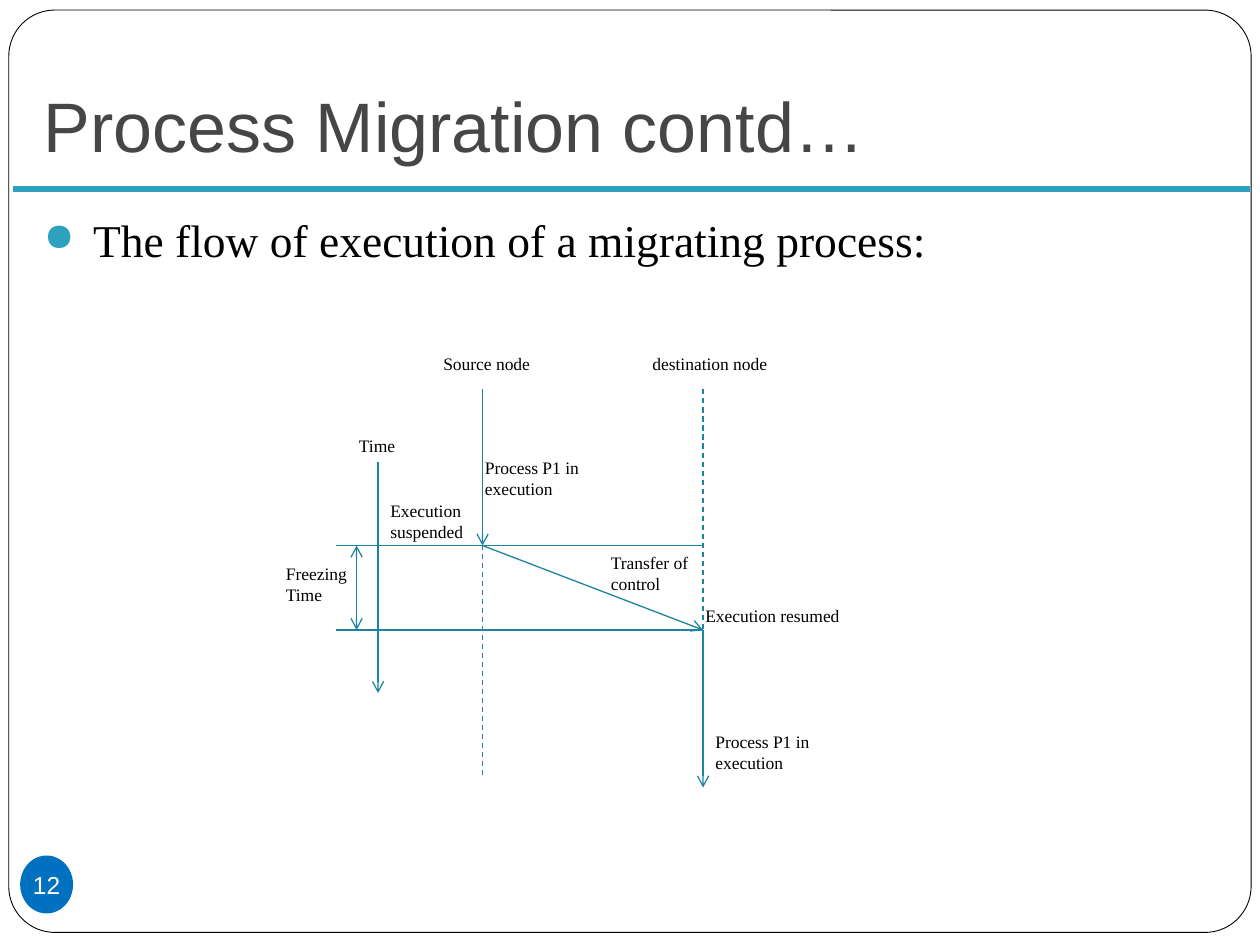
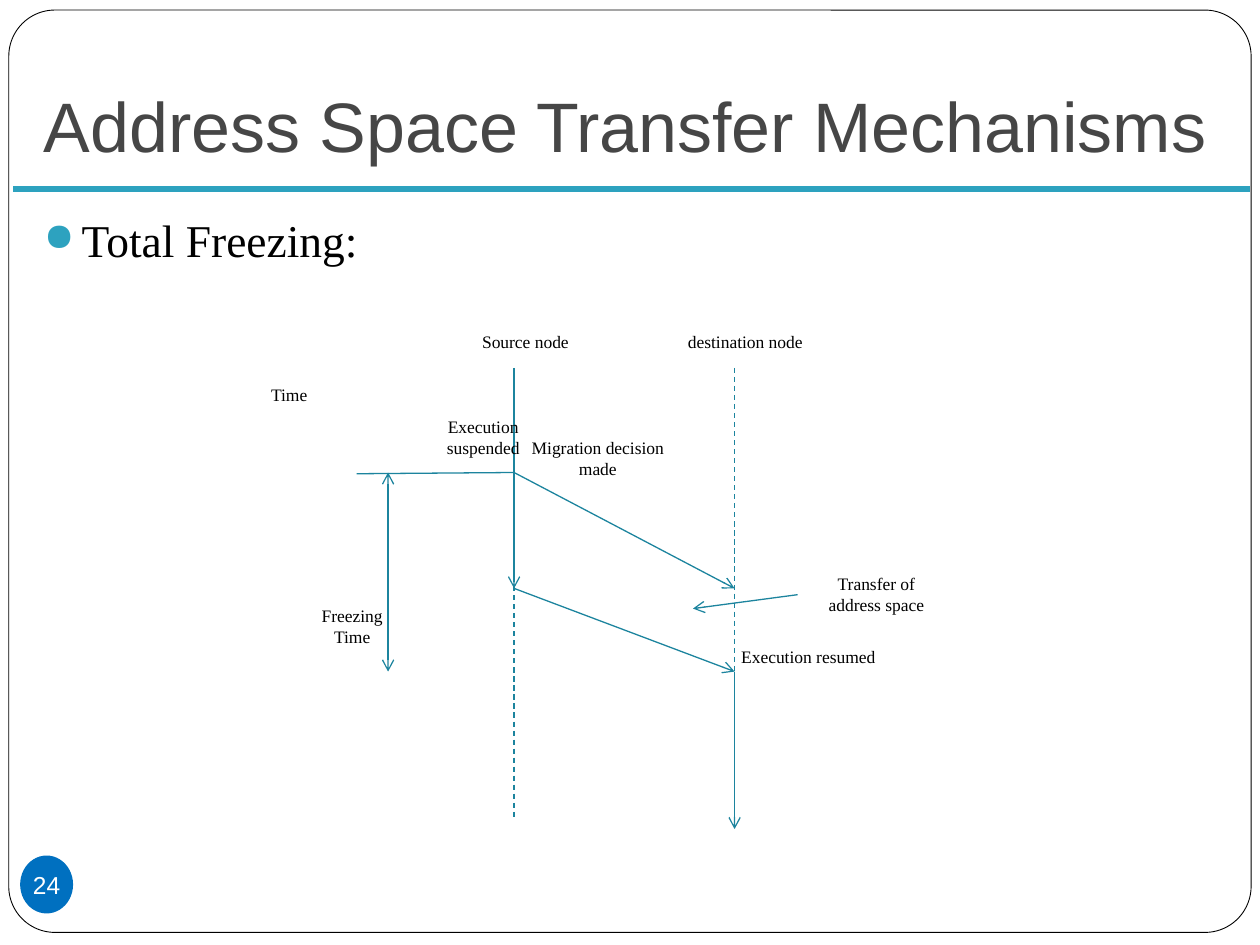
from dataclasses import dataclass

from lxml import etree
from pptx import Presentation
from pptx import util as u
from pptx.dml import color
from pptx.enum import dml, shapes, text
from pptx.oxml import ns


def rgb(value):
    return color.RGBColor.from_string(value)


@dataclass(frozen=True)
class Theme:
    heading_font: str = "Arial"
    body_font: str = "Times New Roman"
    white: str = "FFFFFF"
    black: str = "000000"
    title_color: str = "464646"
    accent: str = "2DA2BF"
    diagram: str = "1C849E"
    badge: str = "0070C0"
    title_size: int = 40
    body_size: int = 26
    number_size: int = 14
    label_size: int = 10
    frame_width: float = 0.5
    rule_width: float = 3
    diagram_width: float = 0.75


def apply(target, values):
    for name, value in values.items():
        setattr(target, name, value)


def add_xml(parent, tag, **attributes):
    return etree.SubElement(parent, ns.qn(tag), attributes)


class Deck:
    """Holds the theme, the current slide and the group being drawn into."""

    def __init__(self, theme):
        self.theme = theme
        self.presentation = Presentation()
        apply(self.presentation,
              {"slide_width": u.Inches(10), "slide_height": u.Inches(7.5)})

    def new_slide(self, title, number, bullet, indent):
        theme = self.theme
        layout = self.presentation.slide_layouts[6]
        self.slide = self.presentation.slides.add_slide(layout)
        self.shapes = self.slide.shapes
        frame = self.shape(shapes.MSO_SHAPE.ROUNDED_RECTANGLE,
                           (0.07, 0.08, 9.86, 7.32), theme.white)
        frame.adjustments[0] = 0.05
        frame.line.color.rgb = rgb(theme.black)
        frame.line.width = u.Pt(theme.frame_width)
        self.line((9.92, 1.5), (0.1, 1.5), color=theme.accent,
                  width=theme.rule_width)
        box = self.text_box(title, (0.25, 0.3, 9.5, 1.12), theme.heading_font,
                            theme.title_size, theme.title_color)
        apply(box.text_frame, {"vertical_anchor": text.MSO_ANCHOR.BOTTOM,
                               "margin_bottom": u.Inches(0.1)})
        self.page_number(number)
        self.bullet(bullet, indent)

    def start_diagram(self):
        self.shapes = self.slide.shapes.add_group_shape().shapes

    def shape(self, kind, place, fill):
        shape = self.shapes.add_shape(kind, *map(u.Inches, place))
        shape.shadow.inherit = False
        shape.fill.solid()
        shape.fill.fore_color.rgb = rgb(fill)
        return shape

    def set_words(self, frame, words, font, size, color, align):
        paragraph = frame.paragraphs[0]
        paragraph.text = words
        paragraph.alignment = align
        apply(paragraph.font, {"name": font, "size": u.Pt(size)})
        paragraph.font.color.rgb = rgb(color)

    def text_box(self, words, place, font, size, color,
                 align=text.PP_ALIGN.LEFT):
        box = self.shapes.add_textbox(*map(u.Inches, place))
        box.text_frame.word_wrap = True
        self.set_words(box.text_frame, words, font, size, color, align)
        return box

    def page_number(self, number):
        theme = self.theme
        badge = self.shape(shapes.MSO_SHAPE.OVAL, (0.16, 6.79, 0.42, 0.46),
                           theme.badge)
        badge.line.fill.background()
        apply(badge.text_frame, {
            "margin_left": 0, "margin_right": 0, "margin_top": 0,
            "margin_bottom": 0, "word_wrap": False,
            "vertical_anchor": text.MSO_ANCHOR.MIDDLE})
        self.set_words(badge.text_frame, str(number), theme.heading_font,
                       theme.number_size, theme.white, text.PP_ALIGN.CENTER)

    def bullet(self, words, indent):
        theme = self.theme
        box = self.text_box(words, (0.25, 1.63, 9.5, 0.7), theme.body_font,
                            theme.body_size, theme.black)
        properties = box.text_frame.paragraphs[0]._p.get_or_add_pPr()
        properties.set("marL", str(u.Inches(indent)))
        properties.set("indent", str(-u.Inches(indent)))
        bullet_color = etree.Element(ns.qn("a:buClr"))
        add_xml(bullet_color, "a:srgbClr", val=theme.accent)
        bullet_size = etree.Element(ns.qn("a:buSzPct"), val="85000")
        character = etree.Element(ns.qn("a:buChar"), char="●")
        for position, element in enumerate(
                (bullet_color, bullet_size, character)):
            properties.insert(position, element)

    def line(self, start, end, dashed=False, head=False, tail=False,
             color=None, width=None):
        """Draw a line; head puts an arrow at the start, tail at the end."""
        connector = self.shapes.add_connector(
            shapes.MSO_CONNECTOR.STRAIGHT, *map(u.Inches, (*start, *end)))
        connector.line.color.rgb = rgb(color or self.theme.diagram)
        connector.line.width = u.Pt(width or self.theme.diagram_width)
        if dashed:
            connector.line.dash_style = dml.MSO_LINE.DASH
        outline = connector.get_or_add_ln()
        for wanted, tag in ((head, "a:headEnd"), (tail, "a:tailEnd")):
            if wanted:
                add_xml(outline, tag, type="arrow")
        add_xml(connector._element.spPr, "a:effectLst")

    def arrow(self, start, end):
        self.line(start, end, tail=True)

    def labels(self, rows, align):
        """Each row is words, left, top, width and number of text lines."""
        theme = self.theme
        for words, left, top, width, lines in rows:
            self.text_box(words, (left, top, width, 0.1 + 0.17 * lines),
                          theme.body_font, theme.label_size, theme.black,
                          align)


def migration_flow(deck):
    deck.new_slide("Process Migration contd…", 12,
                   "The flow of execution of a migrating process:", 0.39)
    deck.start_diagram()
    source, destination = 3.83, 5.58
    begin, suspended, resumed = 3.09, 4.33, 5
    deck.arrow((source, begin), (source, suspended))
    deck.arrow((destination, resumed), (destination, 6.25))
    for level in (suspended, resumed):
        deck.line((2.67, level), (destination, level))
    deck.line((destination, begin), (destination, resumed), dashed=True)
    deck.line((source, 4.25), (source, 6.17), dashed=True)
    deck.arrow((source, suspended), (destination, resumed))
    deck.arrow((3, 3.67), (3, 5.5))
    deck.line((2.83, suspended), (2.83, resumed), head=True, tail=True)
    deck.labels((
        ("Source node", 3.42, 2.75, 1, 1),
        ("destination node", 5.08, 2.75, 1.33, 1),
        ("Process P1 in execution", 3.75, 3.58, 1.33, 2),
        ("Execution suspended", 3, 3.92, 1.33, 2),
        ("Transfer of control", 4.75, 4.33, 1, 2),
        ("Execution resumed", 5.5, 4.75, 1.33, 1),
        ("Process P1 in execution", 5.58, 5.75, 1.33, 2),
        ("Time", 2.75, 3.4, 0.58, 1),
        ("Freezing Time", 2.17, 4.42, 0.75, 2),
    ), text.PP_ALIGN.LEFT)


def total_freezing(deck):
    deck.new_slide("Address Space Transfer Mechanisms", 24,
                   "Total Freezing:", 0.3)
    deck.start_diagram()
    source, destination = 4.08, 5.83
    begin, suspended, transferred, resumed = 2.92, 3.75, 4.67, 5.33
    deck.arrow((source, begin), (source, transferred))
    deck.arrow((destination, resumed), (destination, 6.58))
    deck.line((destination, begin), (destination, resumed), dashed=True)
    deck.line((source, 4.58), (source, 6.5), dashed=True)
    deck.arrow((source, transferred), (destination, resumed))
    deck.line((3.08, suspended), (3.08, resumed), head=True, tail=True)
    deck.labels((
        ("Source node", 3.67, 2.58, 1, 1),
        ("destination node", 5.25, 2.58, 1.33, 1),
        ("Migration decision made", 4.08, 3.42, 1.33, 2),
        ("Execution suspended", 3.17, 3.25, 1.33, 2),
        ("Transfer of\vaddress space", 6.33, 4.5, 1.25, 2),
        ("Execution resumed", 5.75, 5.08, 1.33, 1),
        ("Time", 1.92, 3, 0.75, 1),
        ("Freezing Time", 2.42, 4.75, 0.75, 2),
    ), text.PP_ALIGN.CENTER)
    deck.arrow((source, suspended), (destination, transferred))
    deck.line((source, suspended), (2.83, 3.76))
    deck.arrow((6.33, 4.72), (5.5, 4.83))


def main():
    deck = Deck(Theme())
    migration_flow(deck)
    total_freezing(deck)
    deck.presentation.save("out.pptx")


if __name__ == "__main__":
    main()
